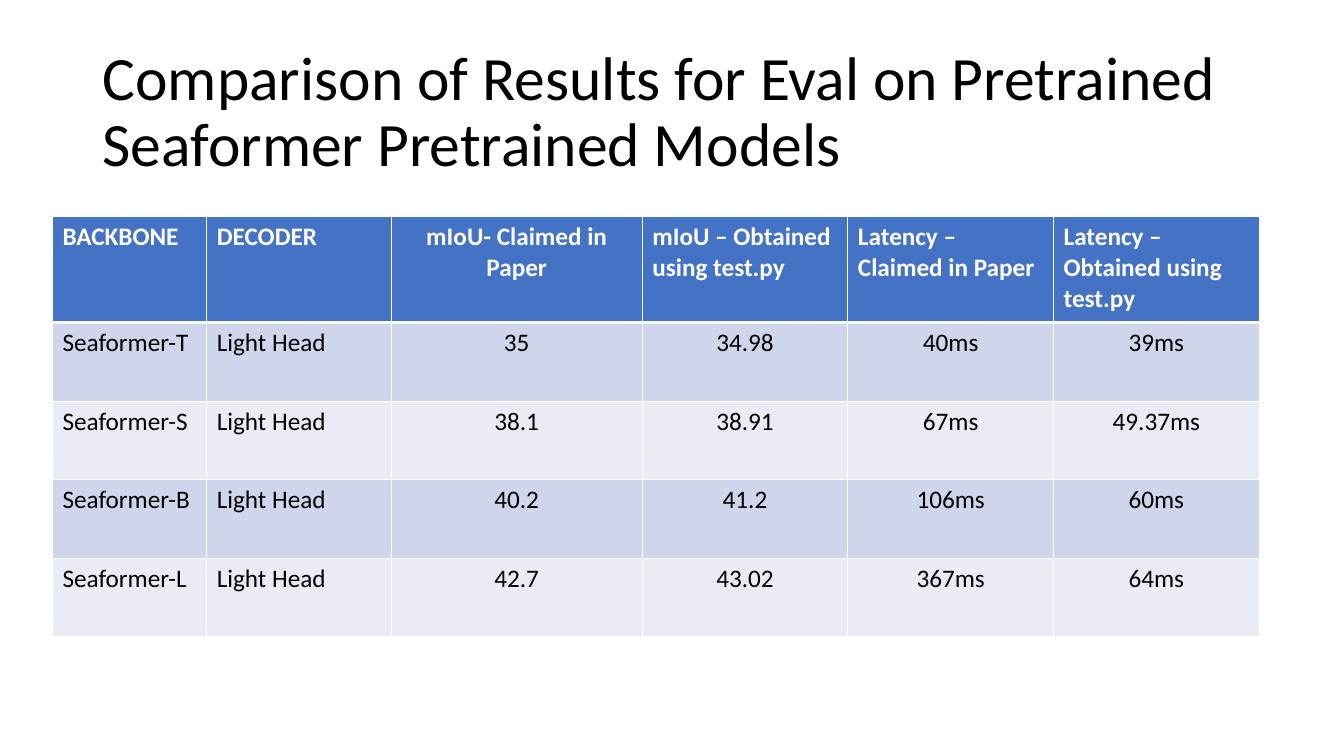
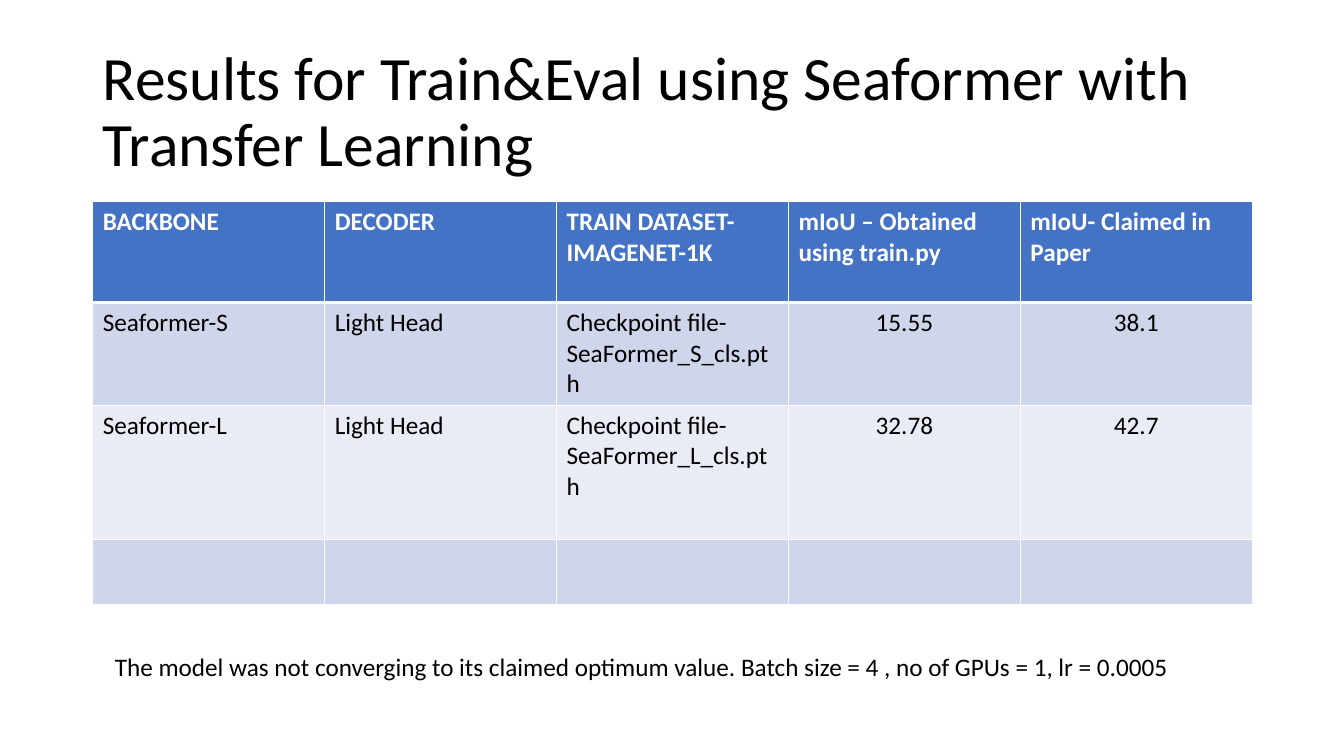
from lxml import etree
from pptx import Presentation
from pptx.dml.color import RGBColor
from pptx.enum.text import MSO_ANCHOR, PP_ALIGN
from pptx.oxml.ns import qn
from pptx.util import Inches, Pt

LEFT, CENTER = PP_ALIGN.LEFT, PP_ALIGN.CENTER
TOP, MIDDLE = MSO_ANCHOR.TOP, MSO_ANCHOR.MIDDLE

FONT = "Calibri"
BLACK, WHITE = "000000", "FFFFFF"
HEADER_FILL = "4472C4"
BAND_FILLS = ("CFD5EA", "E9EBF5")
TITLE_BOX = (0.92, 0.4, 11.5, 1.45)
BLANK_LAYOUT = 6


def rgb(value):
    return RGBColor.from_string(value)


def write(frame, text, size=18, color=BLACK, bold=False, align=LEFT, spacing=None):
    paragraph = frame.paragraphs[0]
    paragraph.alignment = align
    if spacing:
        paragraph.line_spacing = spacing
    run = paragraph.add_run()
    run.text = text
    run.font.name = FONT
    run.font.size = Pt(size)
    run.font.bold = bold
    run.font.color.rgb = rgb(color)


def add_text(slide, box, text, anchor=TOP, **text_format):
    frame = slide.shapes.add_textbox(*map(Inches, box)).text_frame
    frame.word_wrap = True
    frame.vertical_anchor = anchor
    write(frame, text, **text_format)


def add_borders(cell, top=1, bottom=1):
    """Draw white cell borders; call before the fill is set."""
    properties = cell._tc.get_or_add_tcPr()
    for side, width in (("L", 1), ("R", 1), ("T", top), ("B", bottom)):
        line = etree.SubElement(properties, qn(f"a:ln{side}"), w=str(Pt(width)))
        fill = etree.SubElement(line, qn("a:solidFill"))
        etree.SubElement(fill, qn("a:srgbClr"), val=WHITE)


def add_results_table(slide, left, top, widths, heights, rows, first_value, centered_headers=()):
    """Columns from first_value on hold centred figures."""
    table = slide.shapes.add_table(
        len(heights), len(widths), Inches(left), Inches(top),
        Inches(sum(widths)), Inches(sum(heights))).table
    for column, width in zip(table.columns, widths):
        column.width = Inches(width)
    for r, (height, texts) in enumerate(zip(heights, rows)):
        table.rows[r].height = Inches(height)
        is_header = r == 0
        fill = HEADER_FILL if is_header else BAND_FILLS[(r - 1) % 2]
        for c, text in enumerate(texts):
            cell = table.cell(r, c)
            add_borders(cell, top=3 if r == 1 else 1, bottom=3 if is_header else 1)
            cell.fill.solid()
            cell.fill.fore_color.rgb = rgb(fill)
            centered = c in centered_headers if is_header else c >= first_value
            if text:
                write(cell.text_frame, text, color=WHITE if is_header else BLACK,
                      bold=is_header, align=CENTER if centered else LEFT)


def add_titled_slide(deck, title):
    slide = deck.slides.add_slide(deck.slide_layouts[BLANK_LAYOUT])
    add_text(slide, TITLE_BOX, title, anchor=MIDDLE, size=44, spacing=0.9)
    return slide


def add_pretrained_slide(deck):
    slide = add_titled_slide(
        deck, "Comparison of Results for Eval on Pretrained Seaformer Pretrained Models")
    rows = [
        ("BACKBONE", "DECODER", "mIoU- Claimed in Paper", "mIoU – Obtained using test.py",
         "Latency – Claimed in Paper", "Latency – Obtained using test.py"),
        ("Seaformer-T", "Light Head", "35", "34.98", "40ms", "39ms"),
        ("Seaformer-S", "Light Head", "38.1", "38.91", "67ms", "49.37ms"),
        ("Seaformer-B", "Light Head", "40.2", "41.2", "106ms", "60ms"),
        ("Seaformer-L", "Light Head", "42.7", "43.02", "367ms", "64ms"),
    ]
    add_results_table(slide, 0.52, 2.15, [1.53, 1.83, 2.49] + [2.04] * 3,
                      [1.05] + [0.78] * 4, rows, first_value=2, centered_headers=(2,))


def add_transfer_slide(deck):
    slide = add_titled_slide(
        deck, "Results for Train&Eval using Seaformer with Transfer Learning")
    rows = [
        ("BACKBONE", "DECODER", "TRAIN DATASET- IMAGENET-1K",
         "mIoU – Obtained using train.py", "mIoU- Claimed in Paper"),
        ("Seaformer-S", "Light Head", "Checkpoint file- SeaFormer_S_cls.pth", "15.55", "38.1"),
        ("Seaformer-L", "Light Head", "Checkpoint file- SeaFormer_L_cls.pth", "32.78", "42.7"),
        ("",) * 5,
    ]
    add_results_table(slide, 0.92, 2, [2.3] * 5, [1, 1.02, 1.33, 0.65], rows, first_value=3)
    add_text(slide, (1.04, 6.41, 11.02, 0.4),
             "The model was not converging to its claimed optimum value. "
             "Batch size = 4 , no of GPUs = 1, lr = 0.0005")


def main():
    deck = Presentation()
    deck.slide_width, deck.slide_height = Inches(13.33), Inches(7.5)
    add_pretrained_slide(deck)
    add_transfer_slide(deck)
    deck.save("out.pptx")


if __name__ == "__main__":
    main()
